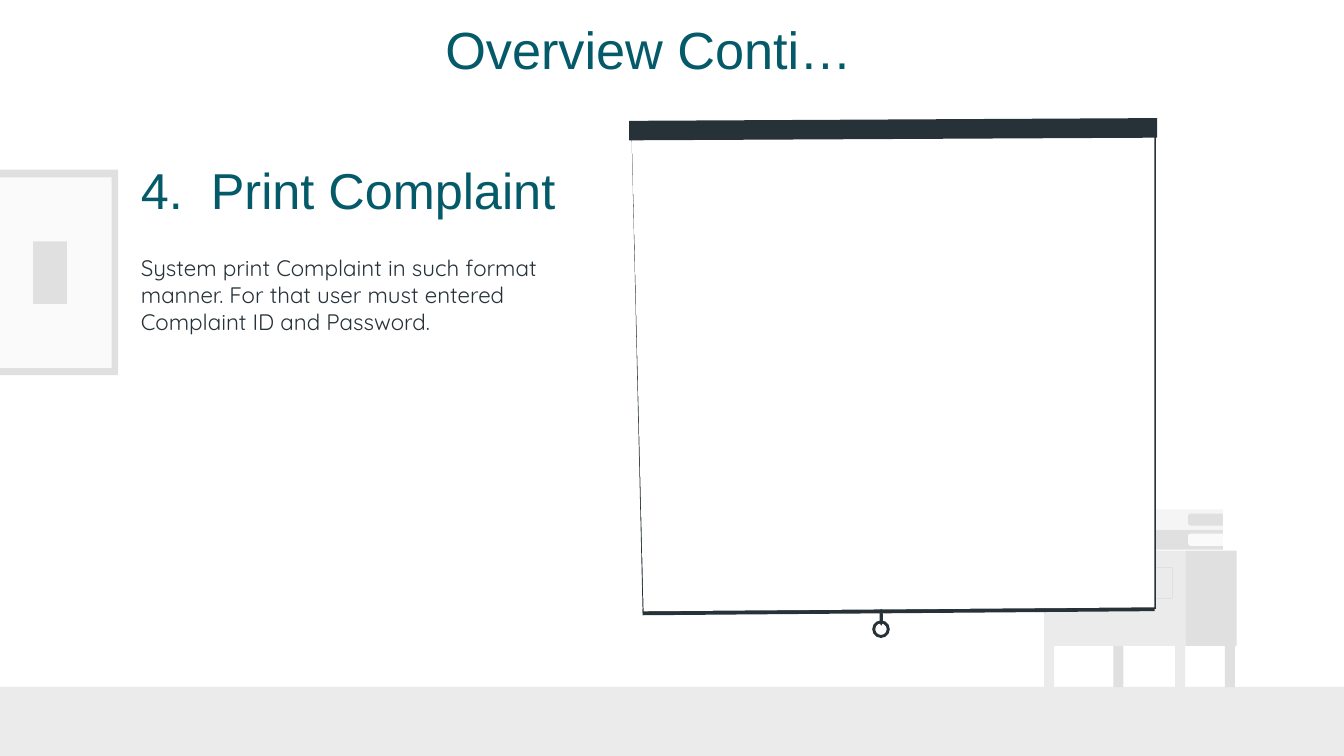
from pptx import Presentation
from pptx.dml.color import RGBColor
from pptx.enum.shapes import MSO_SHAPE
from pptx.enum.text import MSO_ANCHOR, PP_ALIGN
from pptx.oxml import parse_xml
from pptx.oxml.ns import nsdecls
from pptx.util import Pt

TEAL = RGBColor(0x04, 0x5A, 0x68)
INK = RGBColor(0x26, 0x32, 0x38)
WHITE = RGBColor(0xFF, 0xFF, 0xFF)
PALE = RGBColor(0xFA, 0xFA, 0xFA)
MIST = RGBColor(0xF5, 0xF5, 0xF5)
LIGHT = RGBColor(0xEB, 0xEB, 0xEB)
GREY = RGBColor(0xE0, 0xE0, 0xE0)


def paint(shape, color):
    shape.shadow.inherit = False
    shape.fill.solid()
    shape.fill.fore_color.rgb = color
    shape.line.fill.background()
    return shape


def add_block(slide, left, top, width, height, color, kind=MSO_SHAPE.RECTANGLE):
    shape = slide.shapes.add_shape(kind, Pt(left), Pt(top), Pt(width), Pt(height))
    return paint(shape, color)


def add_polygon(slide, points, color):
    corners = [(Pt(x), Pt(y)) for x, y in points]
    builder = slide.shapes.build_freeform(*corners[0], scale=1.0)
    builder.add_line_segments(corners[1:], close=True)
    return paint(builder.convert_to_shape(), color)


def add_text(slide, left, top, width, height, text, font, size, color,
             anchor=MSO_ANCHOR.TOP, inset_top=7.2):
    box = slide.shapes.add_textbox(Pt(left), Pt(top), Pt(width), Pt(height))
    frame = box.text_frame
    frame.word_wrap = True
    frame.vertical_anchor = anchor
    frame.margin_left = frame.margin_right = frame.margin_bottom = Pt(7.2)
    frame.margin_top = Pt(inset_top)
    paragraph = frame.paragraphs[0]
    paragraph.text = text
    paragraph.font.name = font
    paragraph.font.size = Pt(size)
    paragraph.font.color.rgb = color
    return paragraph


def set_indent(paragraph, margin, first):
    properties = paragraph._p.get_or_add_pPr()
    properties.set("marL", str(Pt(margin)))
    properties.set("indent", str(Pt(first)))
    return properties


def add_wall_frame(slide):
    add_block(slide, -9.4, 90.9, 72.7, 110.1, GREY)
    add_block(slide, -6.5, 95, 66.4, 102.1, PALE)
    add_block(slide, 17.8, 129.3, 18, 33.5, GREY)


def add_book(slide, top, cover, label):
    add_block(slide, 602.6, top, 52.6, 10.8, cover)
    left, right, upper, lower = 636.5, 655.2, top + 2.2, top + 8.7
    add_polygon(slide, [(left + 1, upper), (right, upper), (right, lower),
                        (left + 1, lower), (left, lower - 1), (left, upper + 1)], label)


def add_cabinet(slide):
    for left, color in ((559.3, LIGHT), (629.5, LIGHT), (596.4, GREY), (656.2, GREY)):
        add_block(slide, left, 346, 5.4, 22.1, color)
    add_block(slide, 559.3, 295, 76.1, 51.1, LIGHT)
    add_block(slide, 635.3, 295, 27.2, 51.1, GREY)
    drawer = add_block(slide, 566.8, 304, 61.1, 16.5, LIGHT)
    drawer.line.color.rgb = GREY
    drawer.line.width = Pt(0.25)
    add_book(slide, 283.7, GREY, PALE)
    add_book(slide, 272.9, MIST, GREY)


def add_screen(slide):
    add_polygon(slide, [(618.5, 324.2), (344.2, 326.4), (344.2, 329.6), (618.5, 327.4)], INK)
    add_polygon(slide, [(619.2, 69.1), (338.4, 73.4), (344.3, 328.3), (619.2, 326.2)], INK)
    add_polygon(slide, [(618.4, 69.8), (338.5, 73.4), (344.8, 327.5), (618.4, 325.4)], WHITE)
    add_polygon(slide, [(619.9, 63.3), (337.1, 64.8), (337.1, 75.2), (619.9, 73.8)], INK)
    add_block(slide, 471.2, 326.2, 1.8, 9, INK, MSO_SHAPE.OVAL)
    ring = add_block(slide, 467.3, 332.4, 9.4, 9.4, INK, MSO_SHAPE.DONUT)
    ring.adjustments[0] = 0.17


def add_texts(slide):
    heading = add_text(slide, 68.4, 74.2, 265, 31.7, "4.\tPrint Complaint",
                       "Arial", 27, TEAL, inset_top=10.8)
    properties = set_indent(heading, 37.5, -37.5)
    properties.insert(0, parse_xml(
        f'<a:tabLst {nsdecls("a")}><a:tab pos="{Pt(37.5)}" algn="l"/></a:tabLst>'))
    add_text(slide, 68.4, 137.5, 264.2, 49,
             "System print Complaint in such format manner. "
             "For that user must entered Complaint ID and Password.",
             "Quicksand", 12, INK, anchor=MSO_ANCHOR.BOTTOM)
    title = add_text(slide, 218.9, -1.4, 244.8, 31, "Overview Conti…",
                     "Arial", 28, TEAL, inset_top=10.8)
    title.alignment = PP_ALIGN.CENTER
    set_indent(title, 36, -23.8)


def main():
    presentation = Presentation()
    presentation.slide_width = Pt(720)
    presentation.slide_height = Pt(405)
    slide = presentation.slides.add_slide(presentation.slide_layouts[6])
    add_block(slide, 0, 368, 720, 37, LIGHT)
    add_wall_frame(slide)
    add_cabinet(slide)
    add_screen(slide)
    add_texts(slide)
    presentation.save("out.pptx")


if __name__ == "__main__":
    main()
